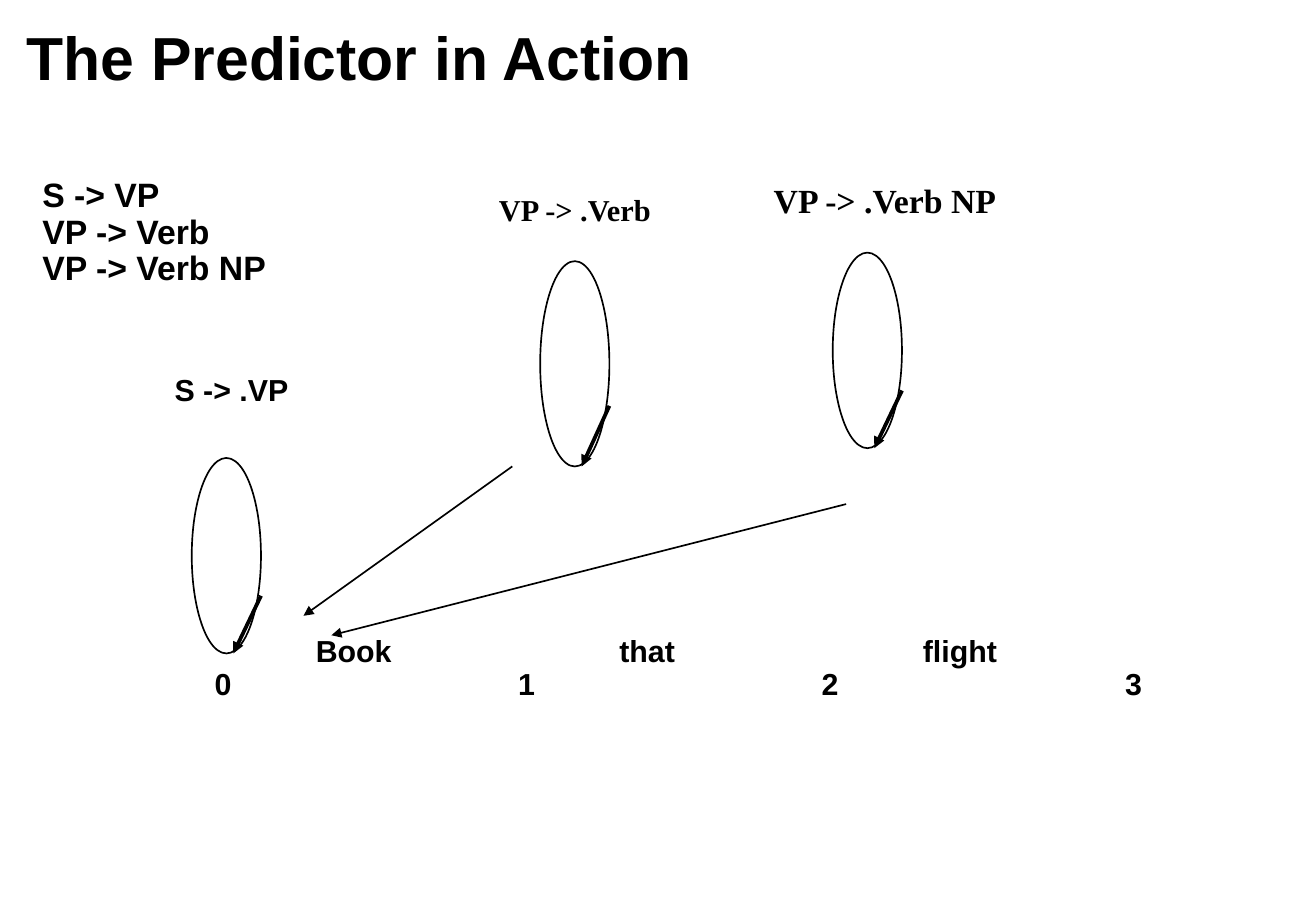
import pptx
import pptx.dml.color
import pptx.enum.shapes
import pptx.enum.text
import pptx.oxml.ns
import pptx.util
from dataclasses import dataclass
from lxml import etree

Inches = pptx.util.Inches
Align = pptx.enum.text.PP_ALIGN


@dataclass(frozen=True)
class Theme:
    ink: str = "000000"
    sans: str = "Arial"
    serif: str = "Times New Roman"
    title_size: int = 36
    rule_size: int = 20
    label_size: int = 18
    thin: float = 1
    thick: float = 2.25
    line_spacing: float = 0.9
    tab_step: float = 5 / 6
    tab_count: int = 9


class SlideBuilder:
    def __init__(self, slide, theme):
        self.slide = slide
        self.theme = theme
        self.ink = pptx.dml.color.RGBColor.from_string(theme.ink)

    def text(self, box, lines, size, font=None, align=Align.LEFT, tabs=False):
        shape = self.slide.shapes.add_textbox(*map(Inches, box))
        frame = shape.text_frame
        frame.word_wrap = False
        frame.auto_size = pptx.enum.text.MSO_AUTO_SIZE.SHAPE_TO_FIT_TEXT
        frame.text = "\n".join(lines)
        for paragraph in frame.paragraphs:
            paragraph.alignment = align
            paragraph.line_spacing = self.theme.line_spacing
            if tabs:
                self.add_tabs(paragraph)
            paragraph.font.name = font or self.theme.sans
            paragraph.font.size = pptx.util.Pt(size)
            paragraph.font.bold = True
            paragraph.font.color.rgb = self.ink
        return shape

    def add_tabs(self, paragraph):
        qn = pptx.oxml.ns.qn
        properties = paragraph._p.get_or_add_pPr()
        tab_list = etree.SubElement(properties, qn("a:tabLst"))
        for number in range(1, self.theme.tab_count + 1):
            position = Inches(number * self.theme.tab_step)
            etree.SubElement(tab_list, qn("a:tab"), pos=str(position), algn="l")

    def arrow(self, start, end, width):
        qn = pptx.oxml.ns.qn
        connector = self.slide.shapes.add_connector(
            pptx.enum.shapes.MSO_CONNECTOR.STRAIGHT, *map(Inches, (*start, *end)))
        connector.line.color.rgb = self.ink
        connector.line.width = pptx.util.Pt(width)
        etree.SubElement(connector.line._get_or_add_ln(), qn("a:tailEnd"), type="triangle")
        etree.SubElement(connector._element.spPr, qn("a:effectLst"))

    def loop(self, left, top, height, width=0.57):
        """Ellipse with a thick arrow closing it at the lower right."""
        ellipse = self.slide.shapes.add_shape(
            pptx.enum.shapes.MSO_SHAPE.OVAL, *map(Inches, (left, top, width, height)))
        ellipse.shadow.inherit = False
        ellipse.fill.background()
        ellipse.line.color.rgb = self.ink
        ellipse.line.width = pptx.util.Pt(self.theme.thin)
        self.arrow((left + width, top + 0.705 * height),
                   (left + 0.6 * width, top + height), self.theme.thick)


def main():
    theme = Theme()
    presentation = pptx.Presentation()
    presentation.slide_width = Inches(10.84)
    presentation.slide_height = Inches(7.5)
    slide = presentation.slides.add_slide(presentation.slide_layouts[6])
    builder = SlideBuilder(slide, theme)

    # Title
    title = builder.text((0, 0, 5.92, 1), ["The Predictor in Action"],
                         theme.title_size, align=Align.CENTER)
    title.text_frame.auto_size = pptx.enum.text.MSO_AUTO_SIZE.NONE
    title.text_frame.word_wrap = True
    title.text_frame.vertical_anchor = pptx.enum.text.MSO_ANCHOR.MIDDLE

    # Grammar rules
    builder.text((0.25, 1.42, 2.06, 1), ["S -> VP", "VP -> Verb", "VP -> Verb NP"],
                 theme.rule_size)

    # Sentence with its chart positions
    builder.text((1.67, 5.19, 7.84, 0.64),
                 ["\tBook\t\t\tthat\t\t\tflight", "0\t\t\t1\t\t\t2\t\t\t3"],
                 theme.label_size, tabs=True)

    # Dotted rules above their loops
    builder.text((1.34, 3.04, 1.14, 0.37), ["S -> .VP"], theme.label_size)
    builder.text((3.99, 1.56, 1.49, 0.37), ["VP -> .Verb"], theme.label_size,
                 theme.serif, Align.CENTER)
    builder.text((6.21, 1.47, 2.16, 0.4), ["VP -> .Verb NP"], theme.rule_size,
                 theme.serif, Align.CENTER)
    for left, top, height in [(1.58, 3.77, 1.61), (4.45, 2.15, 1.69), (6.86, 2.08, 1.61)]:
        builder.loop(left, top, height)

    # Links back to the first state
    builder.arrow((4.22, 3.84), (2.5, 5.07), theme.thin)
    builder.arrow((6.97, 4.15), (2.73, 5.23), theme.thin)

    presentation.save("out.pptx")


if __name__ == "__main__":
    main()
